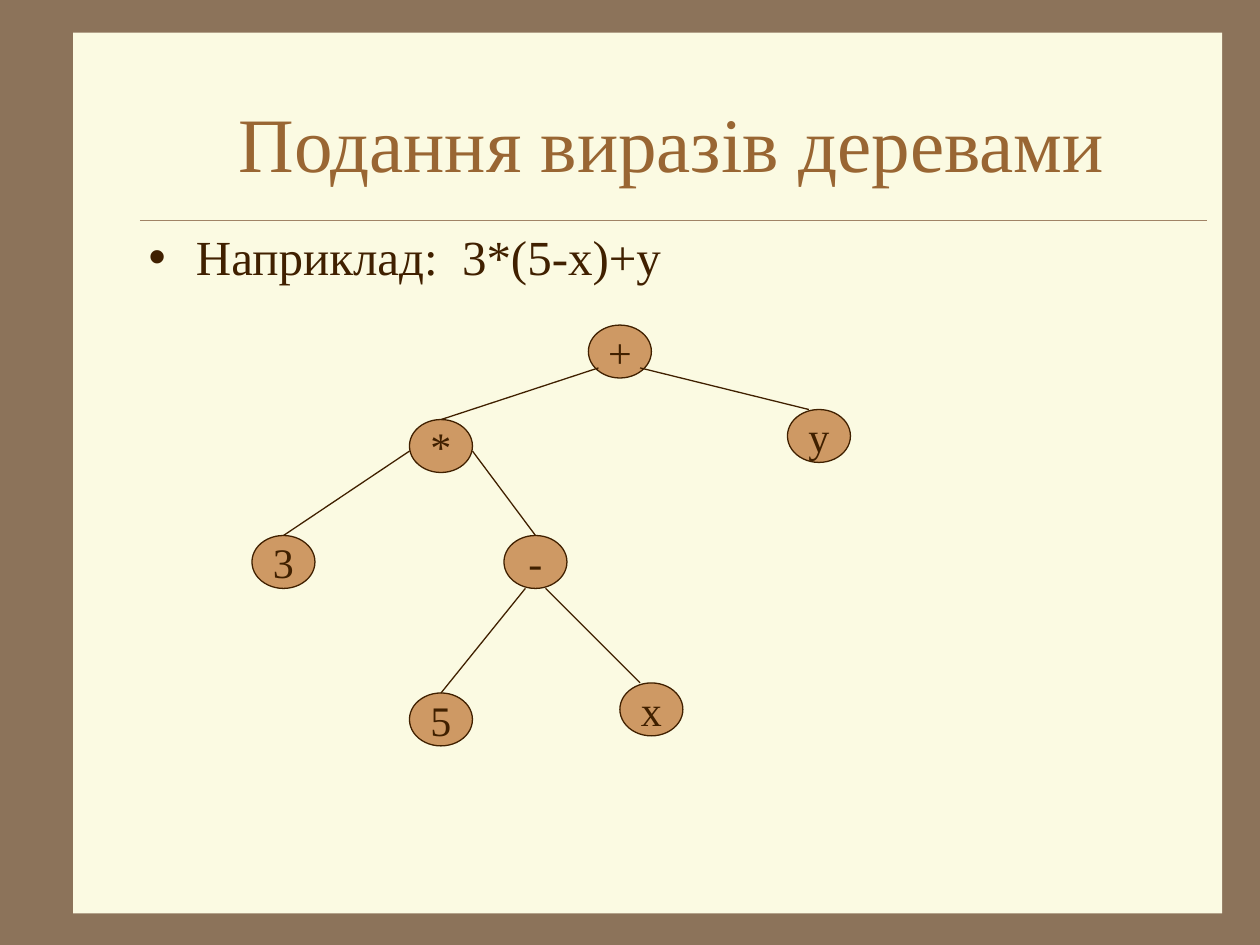
from dataclasses import dataclass
from typing import Optional

from lxml import etree
from pptx import Presentation
from pptx.dml.color import RGBColor
from pptx.enum.shapes import MSO_CONNECTOR, MSO_SHAPE
from pptx.enum.text import MSO_ANCHOR, MSO_AUTO_SIZE, PP_ALIGN
from pptx.oxml.ns import qn
from pptx.util import Inches, Pt

RECTANGLE = MSO_SHAPE.RECTANGLE
OVAL = MSO_SHAPE.OVAL
STRAIGHT = MSO_CONNECTOR.STRAIGHT
LEFT, CENTER = PP_ALIGN.LEFT, PP_ALIGN.CENTER
TOP, MIDDLE = MSO_ANCHOR.TOP, MSO_ANCHOR.MIDDLE
NO_AUTO_SIZE = MSO_AUTO_SIZE.NONE

FRAME = RGBColor(0x8C, 0x73, 0x5A)
PAPER = RGBColor(0xFB, 0xFA, 0xE2)
RULE = RGBColor(0xA0, 0x83, 0x66)
HEADING = RGBColor(0x99, 0x66, 0x33)
INK = RGBColor(0x40, 0x20, 0x00)
NODE_FILL = RGBColor(0xCE, 0x99, 0x64)

FONT = "Times New Roman"
NODE_WIDTH, NODE_HEIGHT = 0.5, 0.42
TOP_SITE = 0


@dataclass(frozen=True)
class Node:
    label: str
    left: float
    top: float


@dataclass(frozen=True)
class Edge:
    start: tuple[float, float]
    child: str
    end: Optional[tuple[float, float]] = None


NODES = [
    Node("+", 4.67, 2.58),
    Node("y", 6.25, 3.25),
    Node("*", 3.25, 3.33),
    Node("3", 2, 4.25),
    Node("-", 4, 4.25),
    Node("5", 3.25, 5.5),
    Node("x", 4.92, 5.42),
]
EDGES = [
    Edge((4.75, 2.92), "*"),
    Edge((5.08, 2.92), "y", (6.42, 3.25)),
    Edge((3.25, 3.58), "3"),
    Edge((3.75, 3.58), "-"),
    Edge((4.17, 4.67), "5"),
    Edge((4.33, 4.67), "x", (5.08, 5.42)),
]


def write_text(shape, text: str, *, size: float, color: RGBColor = INK,
               align=CENTER, anchor=MIDDLE, wrap: bool = True) -> None:
    frame = shape.text_frame
    frame.text = text
    frame.word_wrap = wrap
    frame.auto_size = NO_AUTO_SIZE
    frame.vertical_anchor = anchor
    paragraph = frame.paragraphs[0]
    paragraph.alignment = align
    paragraph.space_before = Pt(0)
    font = paragraph.runs[0].font
    font.name = FONT
    font.size = Pt(size)
    font.color.rgb = color


def place(shape, left: float, top: float, width: float, height: float) -> None:
    shape.left, shape.top = Inches(left), Inches(top)
    shape.width, shape.height = Inches(width), Inches(height)


def remove_bullet(paragraph) -> None:
    properties = paragraph._p.get_or_add_pPr()
    properties.set("marL", "0")
    properties.set("indent", "0")
    etree.SubElement(properties, qn("a:buNone"))


def add_filled_shape(slide, kind, left: float, top: float, width: float,
                     height: float, color: RGBColor):
    shape = slide.shapes.add_shape(
        kind, Inches(left), Inches(top), Inches(width), Inches(height))
    shape.shadow.inherit = False
    shape.fill.solid()
    shape.fill.fore_color.rgb = color
    return shape


def add_line(slide, start: tuple[float, float], end: tuple[float, float],
             color: RGBColor, width: float):
    line = slide.shapes.add_connector(
        STRAIGHT, *(Inches(value) for value in (*start, *end)))
    line.line.color.rgb = color
    line.line.width = Pt(width)
    etree.SubElement(line._element.spPr, qn("a:effectLst"))
    return line


def add_node(slide, node: Node):
    shape = add_filled_shape(slide, OVAL, node.left, node.top,
                             NODE_WIDTH, NODE_HEIGHT, NODE_FILL)
    shape.line.color.rgb = INK
    shape.line.width = Pt(0.75)
    write_text(shape, node.label, size=24, wrap=False)
    return shape


def add_edge(slide, edge: Edge, shapes: dict) -> None:
    line = add_line(slide, edge.start, edge.end or edge.start, INK, 0.75)
    if edge.end is None:
        line.end_connect(shapes[edge.child], TOP_SITE)


def add_background(slide) -> None:
    slide.background.fill.solid()
    slide.background.fill.fore_color.rgb = FRAME
    panel = add_filled_shape(slide, RECTANGLE, 0.58, 0.26, 9.12, 6.99, PAPER)
    panel.line.fill.background()
    rule = add_line(slide, (1.11, 1.75), (9.58, 1.75), RULE, 0.25)
    tree = slide.shapes._spTree
    for position, shape in enumerate((panel, rule), start=2):
        tree.insert(position, shape._element)


def main() -> None:
    presentation = Presentation()
    presentation.slide_width = Inches(10)
    presentation.slide_height = Inches(7.5)
    slide = presentation.slides.add_slide(presentation.slide_layouts[1])
    add_background(slide)

    title = slide.shapes.title
    place(title, 1.08, 0.5, 8.5, 1.25)
    write_text(title, "Подання виразів деревами", size=44, color=HEADING)

    body = slide.placeholders[1]
    place(body, 1.08, 1.75, 8.5, 5.25)
    remove_bullet(body.text_frame.paragraphs[0])
    write_text(body, "Наприклад:  3*(5-x)+y", size=28, align=LEFT, anchor=TOP)

    shapes = {node.label: add_node(slide, node) for node in NODES}
    for edge in EDGES:
        add_edge(slide, edge, shapes)
    presentation.save("out.pptx")


if __name__ == "__main__":
    main()
